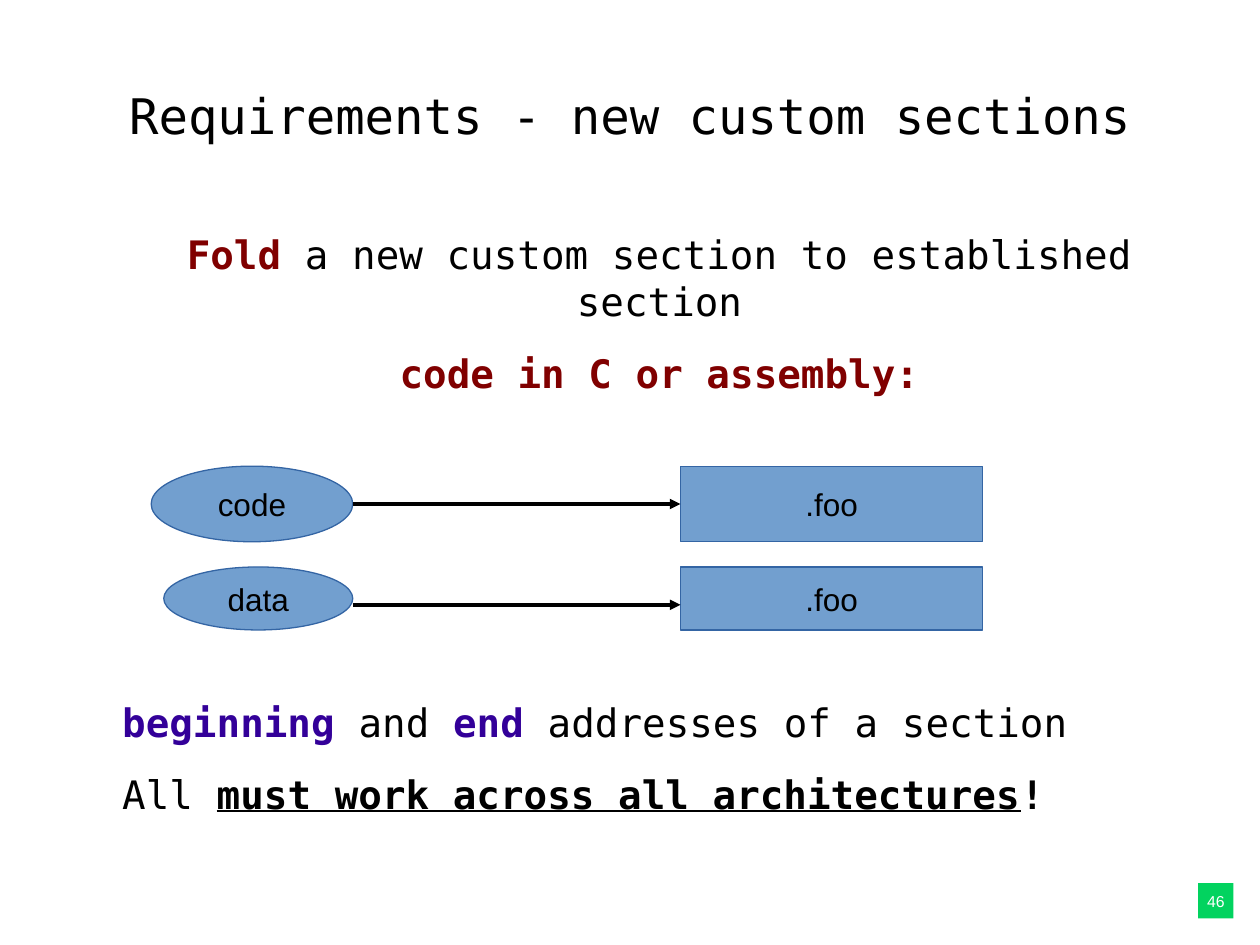
from lxml.etree import SubElement
from pptx import Presentation
from pptx.dml.color import RGBColor
from pptx.enum.shapes import MSO_CONNECTOR, MSO_SHAPE
from pptx.enum.text import MSO_ANCHOR, PP_ALIGN
from pptx.oxml.ns import qn
from pptx.util import Pt

EMU_PER_PX = 9144  # 100 px to the inch
COLORS = {
    "text": "000000", "white": "FFFFFF", "badge": "02D35F", "box": "729FCF",
    "outline": "3465A4", "maroon": "800000", "indigo": "330099",
}
LEFT_SIDE = 1


def px(value):
    return value * EMU_PER_PX


def rgb(name):
    return RGBColor.from_string(COLORS[name])


class SlideBuilder:
    label_font = "Arial"
    text_font = "DejaVu Sans Mono"
    paragraph_gap = 14.2

    def __init__(self, slide):
        self.slide = slide

    def set_font(self, font, name, size, color="text"):
        font.name = name
        font.size = Pt(size)
        font.color.rgb = rgb(color)

    def set_frame(self, frame, anchor):
        frame.word_wrap = True
        frame.vertical_anchor = anchor
        frame.margin_left = frame.margin_right = 0
        frame.margin_top = frame.margin_bottom = 0

    def text(self, left, top, width, height, paragraphs, size,
             align=PP_ALIGN.LEFT, anchor=MSO_ANCHOR.TOP):
        """Each paragraph is a list of (text, color, bold, underline) runs."""
        box = self.slide.shapes.add_textbox(px(left), px(top), px(width), px(height))
        frame = box.text_frame
        self.set_frame(frame, anchor)
        for index, runs in enumerate(paragraphs):
            paragraph = frame.add_paragraph() if index else frame.paragraphs[0]
            paragraph.alignment = align
            if index:
                paragraph.space_before = Pt(self.paragraph_gap)
            self.set_font(paragraph.font, self.text_font, size)
            for words, color, bold, underline in runs:
                run = paragraph.add_run()
                run.text = words
                self.set_font(run.font, self.text_font, size, color)
                run.font.bold = bold
                run.font.underline = underline

    def shape(self, kind, left, top, width, height, label, size=18,
              fill="box", outline="outline", color="text"):
        shape = self.slide.shapes.add_shape(kind, px(left), px(top), px(width), px(height))
        shape.shadow.inherit = False
        shape.fill.solid()
        shape.fill.fore_color.rgb = rgb(fill)
        if outline:
            shape.line.color.rgb = rgb(outline)
            shape.line.width = 0
        else:
            shape.line.fill.background()
        self.set_frame(shape.text_frame, MSO_ANCHOR.MIDDLE)
        paragraph = shape.text_frame.paragraphs[0]
        paragraph.text = label
        paragraph.alignment = PP_ALIGN.CENTER
        self.set_font(paragraph.font, self.label_font, size, color)
        return shape

    def arrow(self, start, end, y):
        connector = self.slide.shapes.add_connector(
            MSO_CONNECTOR.STRAIGHT, px(start), px(y), px(end), px(y))
        connector.line.color.rgb = rgb("text")
        connector.line.width = 0
        SubElement(connector.line._get_or_add_ln(), qn("a:tailEnd"), type="triangle")
        SubElement(connector._element.spPr, qn("a:effectLst"))
        return connector


def main():
    presentation = Presentation()
    presentation.slide_width = px(1000)
    presentation.slide_height = px(750)
    slide = presentation.slides.add_slide(presentation.slide_layouts[6])
    builder = SlideBuilder(slide)

    builder.shape(MSO_SHAPE.RECTANGLE, 951, 701, 28, 28, "46", size=9,
                  fill="badge", outline=None, color="white")
    builder.text(50, 29, 900, 124,
                 [[("Requirements - new custom sections", "text", False, False)]],
                 28, PP_ALIGN.CENTER, MSO_ANCHOR.MIDDLE)
    builder.text(97, 183, 853, 140, [
        [("Fold", "maroon", True, False),
         (" a new custom section to established section", "text", False, False)],
        [("code in C or assembly:", "maroon", True, False)],
    ], 22.4, PP_ALIGN.CENTER)
    builder.text(97, 554, 853, 100, [
        [("beginning", "indigo", True, False), (" and ", "text", False, False),
         ("end", "indigo", True, False),
         (" addresses of a section", "text", False, False)],
        [("All ", "text", False, False),
         ("must work across all architectures", "text", True, True),
         ("!", "text", True, False)],
    ], 22.4)

    ellipse_right, section_left = 280, 540
    for source, ellipse_left, top, height, arrow_y in (
        ("code", 120, 370, 60, 400),
        ("data", 130, 450, 50, 480),
    ):
        builder.shape(MSO_SHAPE.OVAL, ellipse_left, top,
                      ellipse_right - ellipse_left, height, source)
        section = builder.shape(MSO_SHAPE.RECTANGLE, section_left, top, 240, height, ".foo")
        arrow = builder.arrow(ellipse_right, section_left, arrow_y)
        if arrow_y == top + height // 2:
            arrow.end_connect(section, LEFT_SIDE)

    presentation.save("out.pptx")


if __name__ == "__main__":
    main()
